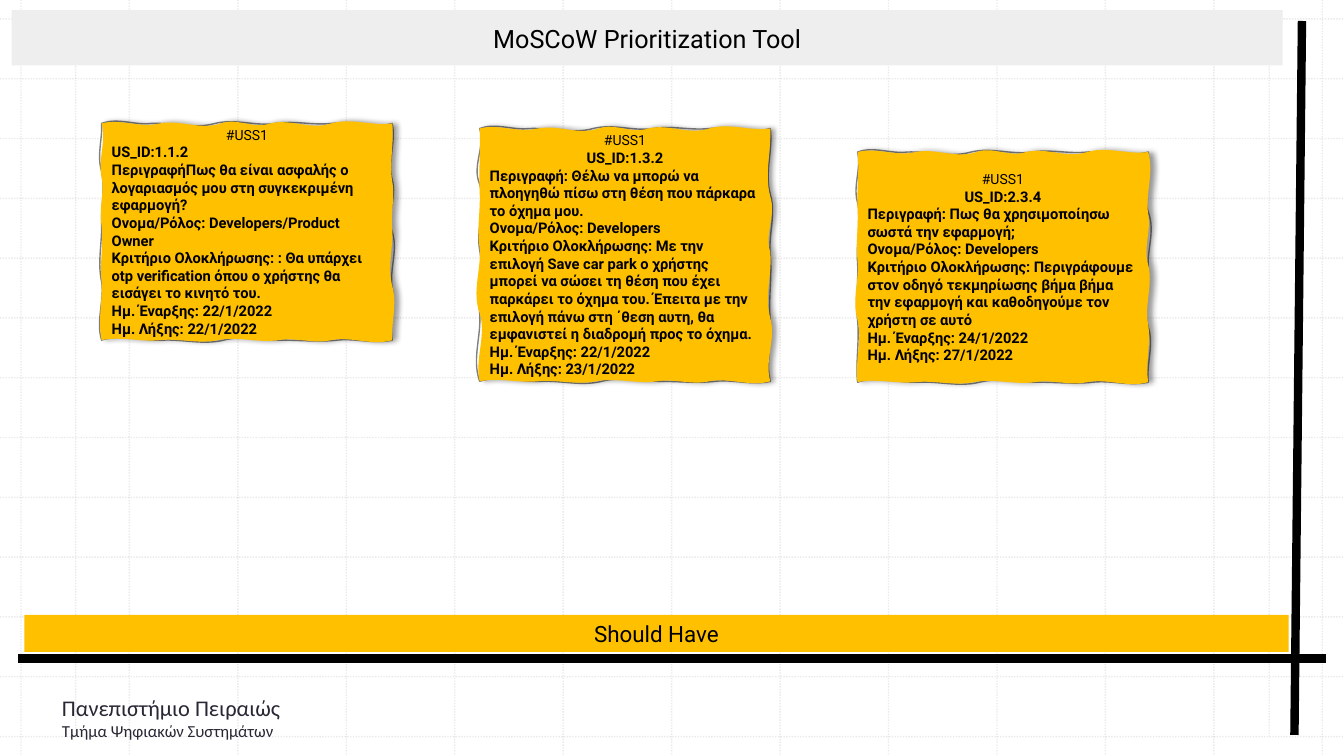
from dataclasses import dataclass

from lxml import etree
from pptx import Presentation
from pptx.dml.color import RGBColor
from pptx.enum.dml import MSO_LINE
from pptx.enum.shapes import MSO_CONNECTOR, MSO_SHAPE
from pptx.enum.text import MSO_ANCHOR, MSO_AUTO_SIZE, PP_ALIGN
from pptx.oxml.ns import qn
from pptx.util import Inches, Pt

STRAIGHT, RECT, DOTS = MSO_CONNECTOR.STRAIGHT, MSO_SHAPE.RECTANGLE, MSO_LINE.ROUND_DOT
MIDDLE, CENTER, LEFT = MSO_ANCHOR.MIDDLE, PP_ALIGN.CENTER, PP_ALIGN.LEFT
NO_FIT = MSO_AUTO_SIZE.NONE

COLORS = {"black": "000000", "head": "EEEEEE", "amber": "FFC000",
          "edge": "808080", "grid": "BCBCBC", "ink": "2A2735"}

# Slide of 160 columns by 90 rows
WIDE, HIGH = Inches(13.333), Inches(7.5)
COLS, ROWS = 160, 90
PAD_X, PAD_Y = 1.2, 0.6    # text insets of a note, in cells
WAVE = 0.12                # one unit of wave, in cells

Pair = tuple[float, float]
Waves = list[Pair]


@dataclass
class Note:
    top: float
    high: float
    heads: int             # centred lines at the start
    lines: list[str]
    paper: list[Waves]     # waves of the right and left sides
    edge: list[Waves]


@dataclass
class Trim:
    """Knots along each side as shares, and waves of top and bottom."""
    knots: list[list[float]]
    top: Waves
    base: Waves


PAPER = Trim([[0, .2, .41, .58, .79, 1], [0, .27, .49, .75, 1],
              [1, .79, .61, .4, .2, 0], [1, .73, .47, .25, 0]],
             [(-5, 5), (-4, 7), (-6, 6), (-5, 7), (-6, 3)],
             [(6, -4), (4, -3), (3, -4), (4, -2), (2, -4)])
EDGE = Trim([[0, .17, .39, .6, .79, 1], [0, .26, .5, .76, 1],
             [1, .81, .62, .42, .21, 0], [1, .73, .48, .22, 0]],
            [(-6, 2), (-1, 6), (-5, 3), (-3, 2), (-2, 6)],
            [(4, -2), (2, 0), (0, -5), (5, -1), (1, -7)])

NOTE_X, NOTE_STEP, NOTE_W = 12.1, 45, 34.6
NOTES = [
    Note(14.7, 25.8, 1, [
        "#USS1", "US_ID:1.1.2",
        "ΠεριγραφήΠως θα είναι ασφαλής ο λογαριασμός μου στη συγκεκριμένη εφαρμογή?",
        "Ονομα/Ρόλος: Developers/Product Owner",
        "Κριτήριο Ολοκλήρωσης: : Θα υπάρχει otp verification όπου ο χρήστης "
        "θα εισάγει το κινητό του.",
        "Ημ. Έναρξης: 22/1/2022", "Ημ. Λήξης: 22/1/2022"],
        [[(2, -3), (3, -2), (1, -5), (5, -1)], [(-4, 1), (-2, 2), (-3, 3), (-4, 5)]],
        [[(4, -5), (5, -6), (6, -3), (3, -3)], [(-6, 3), (-4, 0), (-1, 4), (-5, 1)]]),
    Note(15.3, 30.1, 2, [
        "#USS1", "US_ID:1.3.2",
        "Περιγραφή: Θέλω να μπορώ να πλοηγηθώ πίσω στη θέση που πάρκαρα το όχημα μου.",
        "Ονομα/Ρόλος: Developers",
        "Κριτήριο Ολοκλήρωσης: Με την επιλογή Save car park ο χρήστης μπορεί να σώσει "
        "τη θέση που έχει παρκάρει το όχημα του. Έπειτα με την επιλογή πάνω στη "
        "΄θεση αυτη, θα εμφανιστεί η διαδρομή προς το όχημα.",
        "Ημ. Έναρξης: 22/1/2022", "Ημ. Λήξης: 23/1/2022"],
        [[(1, -6), (6, -6), (2, -6), (6, -6)], [(-5, 7), (-8, 2), (-3, 1), (-1, 1)]],
        [[(3, -6), (6, -2), (2, -2), (2, -5)], [(-8, 2), (-2, 4), (-4, 7), (-8, 6)]]),
    Note(18.1, 27.4, 2, [
        "#USS1", "US_ID:2.3.4",
        "Περιγραφή: Πως θα χρησιμοποίησω σωστά την εφαρμογή;",
        "Ονομα/Ρόλος: Developers",
        "Κριτήριο Ολοκλήρωσης: Περιγράφουμε στον οδηγό τεκμηρίωσης βήμα βήμα "
        "την εφαρμογή και καθοδηγούμε τον χρήστη σε αυτό",
        "Ημ. Έναρξης: 24/1/2022", "Ημ. Λήξης: 27/1/2022"],
        [[(6, -3), (3, -5), (5, -4), (3, -3)], [(-3, 5), (-6, 2), (-2, 1), (-1, 2)]],
        [[(2, -7), (7, -1), (1, -6), (6, -2)], [(-2, 2), (-2, 1), (-2, 5), (-5, 4)]]),
]


def across(cols: float) -> int:
    return round(WIDE * cols / COLS)


def down(rows: float) -> int:
    return round(HIGH * rows / ROWS)


def box(x: float, y: float, w: float, h: float) -> tuple[int, int, int, int]:
    return across(x), down(y), across(w), down(h)


def color(name: str) -> RGBColor:
    return RGBColor.from_string(COLORS[name])


def paint(shape, name: str) -> None:
    shape.fill.solid()
    shape.fill.fore_color.rgb = color(name)


def style(para, size: float, face: str = "Roboto", tone: str = "black",
          bold: bool = False, align=LEFT) -> None:
    para.alignment = align
    font = para.font
    font.size, font.name, font.bold = Pt(size), face, bold
    font.color.rgb = color(tone)


def rule(shapes, start: Pair, end: Pair, tone: str = "black", width: float = 6):
    line = shapes.add_connector(STRAIGHT, across(start[0]), down(start[1]),
                                across(end[0]), down(end[1]))
    line.line.color.rgb = color(tone)
    line.line.width = Pt(width)
    etree.SubElement(line._element.spPr, qn("a:effectLst"))
    return line


def lattice(slide) -> None:
    """Faint dotted lines, kept on the layout behind the slide's content."""
    spans = [((x, 2.25), (x, 87.7)) for x in (9, 151.1)]
    for i in range(13):
        x, y = 2.5 + 12.91 * i, 2.25 + 7.12 * i
        spans += [((x, 0), (x, ROWS)), ((0, y), (COLS, y))]
    tree = slide.slide_layout.shapes._spTree
    for i, (start, end) in enumerate(spans):
        line = rule(slide.shapes, start, end, "grid", 1)
        line.line.dash_style = DOTS
        tint = next(line._element.iter(qn("a:srgbClr")))
        etree.SubElement(tint, qn("a:alpha"), val="30000")
        next(line._element.iter(qn("p:cNvPr"))).set("id", str(100 + i))
        tree.insert(2 + i, line._element)


def trace(x: float, y: float, w: float, h: float, trim: Trim, sides: list[Waves]) -> list[Pair]:
    """Start point, then three curve points for each wave round a rectangle."""
    points = [(x, y)]
    waves = [trim.top, sides[0], trim.base, sides[1]]
    for side, (knots, bends) in enumerate(zip(trim.knots, waves)):
        for a, b, bend in zip(knots, knots[1:], bends):
            for step, wave in enumerate((*bend, 0), 1):
                at, off = a + (b - a) * step / 3, wave * WAVE
                if side % 2:
                    points.append((x + (w if side == 1 else 0) + off, y + h * at))
                else:
                    points.append((x + w * at, y + (h if side == 2 else 0) + off))
    return points


def sheet(shapes, points: list[Pair]):
    spots = [(across(x), down(y)) for x, y in points]
    form = shapes.build_freeform(*spots[0], scale=1.0)
    form.add_line_segments(spots[1:], close=True)
    shape = form.convert_to_shape()
    shape.shadow.inherit = False
    # Join each three straight steps into one curve
    steps = list(shape._element.iter(qn("a:lnTo")))
    for one, two, three in zip(steps[::3], steps[1::3], steps[2::3]):
        curve = etree.Element(qn("a:cubicBezTo"))
        one.addprevious(curve)
        for step in (one, two, three):
            curve.append(step[0])
            step.getparent().remove(step)
    return shape


def shade(shape) -> None:
    glow = etree.SubElement(shape._element.spPr.find(qn("a:effectLst")), qn("a:outerShdw"),
                            blurRad=str(Pt(4)), dist=str(Pt(3)), dir="0",
                            algn="l", rotWithShape="0")
    tint = etree.SubElement(glow, qn("a:srgbClr"), val=COLORS["black"])
    etree.SubElement(tint, qn("a:alpha"), val="40000")


def stick(shapes, x: float, note: Note) -> None:
    area = (x, note.top, NOTE_W, note.high)
    rim = sheet(shapes, trace(*area, EDGE, note.edge))
    rim.fill.background()
    rim.line.color.rgb = color("edge")
    rim.line.width = Pt(1)
    page = sheet(shapes, trace(*area, PAPER, note.paper))
    paint(page, "amber")
    page.line.fill.background()
    shade(page)
    frame = page.text_frame
    frame.word_wrap, frame.vertical_anchor = True, MIDDLE
    frame.margin_left = across(x + PAD_X) - page.left
    frame.margin_right = page.left + page.width - across(x + NOTE_W - PAD_X)
    frame.margin_top = down(note.top + PAD_Y) - page.top
    frame.margin_bottom = page.top + page.height - down(note.top + note.high - PAD_Y)
    frame.text = "\n".join(note.lines)
    for i, para in enumerate(frame.paragraphs):
        style(para, 10.5 if i else 10, bold=i > 0, align=CENTER if i < note.heads else LEFT)


def main() -> None:
    deck = Presentation()
    deck.slide_width, deck.slide_height = WIDE, HIGH
    slide = deck.slides.add_slide(deck.slide_layouts[5])
    shapes = slide.shapes
    lattice(slide)

    # Title bar
    title = shapes.title
    title.left, title.top, title.width, title.height = box(1.4, 1.2, 151.3, 6.6)
    paint(title, "head")
    title.text = "MoSCoW Prioritization Tool"
    title.text_frame.auto_size, title.text_frame.vertical_anchor = NO_FIT, MIDDLE
    para = title.text_frame.paragraphs[0]
    para.line_spacing, para.space_after = 1.07, Pt(8)
    style(para, 18, align=CENTER)

    # Axes
    rule(shapes, (2.2, 78.4), (157.8, 78.4))
    rule(shapes, (155, 2.5), (154.1, 87.5))

    # University
    text = shapes.add_textbox(*box(6.2, 82, 35.8, 7.6)).text_frame
    text.word_wrap = True
    text.text = "Πανεπιστήμιο Πειραιώς\nΤμήμα Ψηφιακών Συστημάτων"
    for para, size in zip(text.paragraphs, (16, 12)):
        style(para, size, "Calibri", "ink")

    # Category band
    band = shapes.add_shape(RECT, *box(2.9, 73.2, 150.5, 4.4))
    band.shadow.inherit = False
    paint(band, "amber")
    band.line.fill.background()
    band.text_frame.text = "Should Have"
    band.text_frame.vertical_anchor = MIDDLE
    style(band.text_frame.paragraphs[0], 16, align=CENTER)

    # Sticky notes
    for i, note in enumerate(NOTES):
        stick(shapes, NOTE_X + NOTE_STEP * i, note)

    deck.save("out.pptx")


if __name__ == "__main__":
    main()
